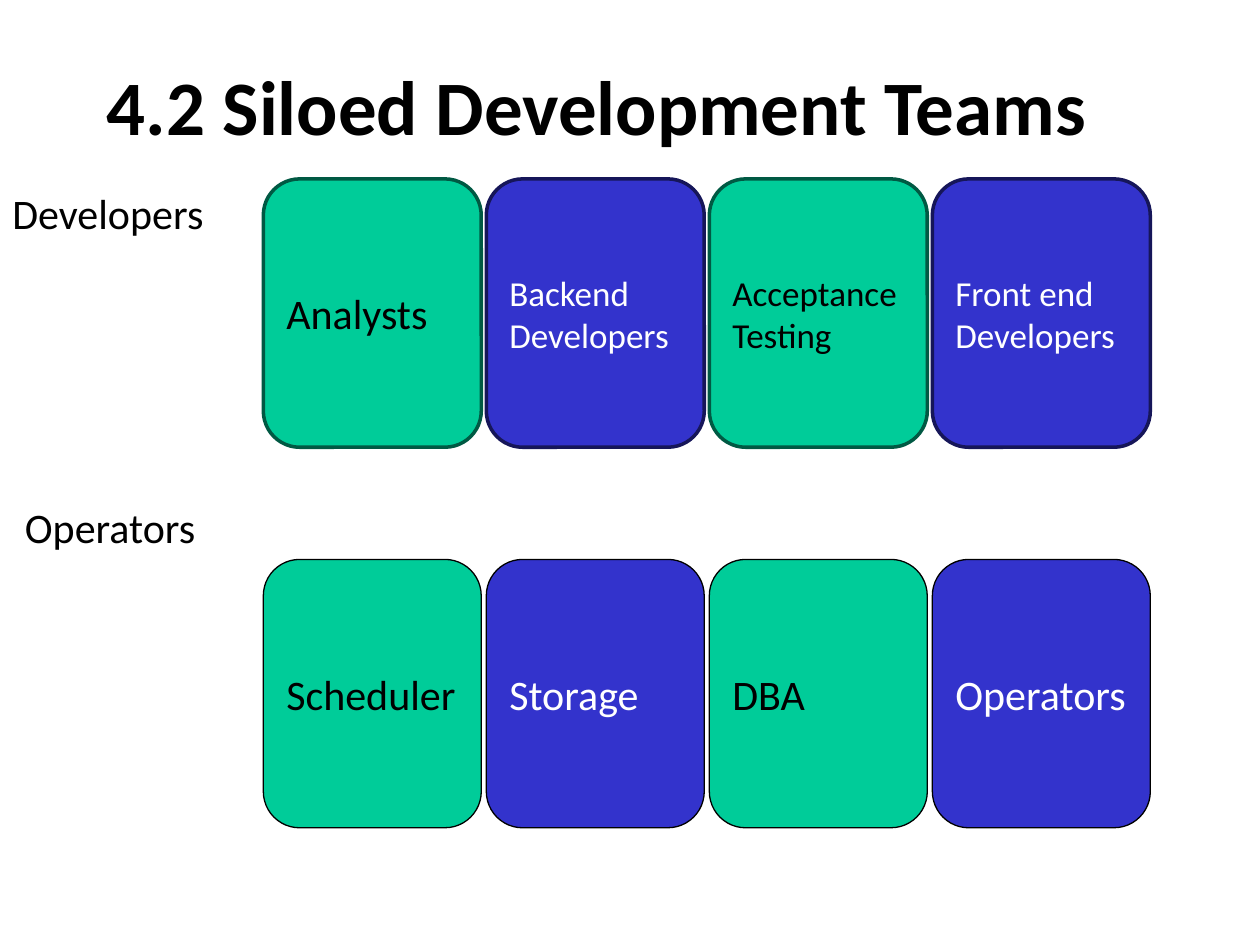
from pptx import Presentation
from pptx.dml.color import RGBColor
from pptx.enum import shapes, text
from pptx.util import Inches, Pt

COLORS = {
    "black": "000000",
    "white": "FFFFFF",
    "green": "00CC99",
    "green_edge": "005943",
    "blue": "3333CC",
    "blue_edge": "161659",
}


class TeamSlide:
    """Holds the slide and its style, and adds labels and team boxes."""

    font = "Calibri"
    box_width, box_height = 1.73, 2.13
    first_left, pitch = 2.09, 1.77

    def __init__(self, prs):
        self.s = prs.slides.add_slide(prs.slide_layouts[6])

    def color(self, name):
        return RGBColor.from_string(COLORS[name])

    def add_lines(self, tf, lines, size, color, bold=False, align=text.PP_ALIGN.LEFT):
        for i, line in enumerate(lines):
            p = tf.add_paragraph() if i else tf.paragraphs[0]
            p.alignment = align
            r = p.add_run()
            r.text = line
            r.font.name = self.font
            r.font.size = Pt(size)
            r.font.bold = bold
            r.font.color.rgb = self.color(color)

    def title(self, words, left, top, width, height):
        tf = self.s.shapes.add_textbox(
            Inches(left), Inches(top), Inches(width), Inches(height)).text_frame
        tf.word_wrap = True
        tf.vertical_anchor = text.MSO_ANCHOR.MIDDLE
        self.add_lines(tf, [words], 44, "black", bold=True)

    def label(self, words, left, top, width):
        tf = self.s.shapes.add_textbox(
            Inches(left), Inches(top), Inches(width), Inches(0.5)).text_frame
        tf.word_wrap = False
        tf.auto_size = text.MSO_AUTO_SIZE.SHAPE_TO_FIT_TEXT
        self.add_lines(tf, [words], 24, "black")

    def team(self, lines, left, top, fill, edge, line_width):
        sp = self.s.shapes.add_shape(
            shapes.MSO_SHAPE.FLOWCHART_ALTERNATE_PROCESS,
            Inches(left), Inches(top), Inches(self.box_width), Inches(self.box_height))
        sp.shadow.inherit = False
        sp.fill.solid()
        sp.fill.fore_color.rgb = self.color(fill)
        sp.line.color.rgb = self.color(edge)
        sp.line.width = Pt(line_width)
        tf = sp.text_frame
        tf.word_wrap = False
        tf.vertical_anchor = text.MSO_ANCHOR.MIDDLE
        self.add_lines(tf, lines, 20 if len(lines) > 1 else 24,
                       "black" if fill == "green" else "white",
                       align=text.PP_ALIGN.JUSTIFY)

    def team_row(self, teams, top, line_width, tinted_edge):
        for i, lines in enumerate(teams):
            fill = ("green", "blue")[i % 2]
            edge = f"{fill}_edge" if tinted_edge else "black"
            self.team(lines, self.first_left + i * self.pitch, top, fill, edge, line_width)


def main():
    prs = Presentation()
    prs.slide_width, prs.slide_height = Inches(10), Inches(7.5)
    slide = TeamSlide(prs)
    slide.title("4.2 Siloed Development Teams", 0.75, 0.25, 8.5, 1.17)
    slide.label("Developers", 0, 1.44, 1.73)
    slide.team_row([["Analysts"], ["Backend", "Developers"],
                    ["Acceptance ", "Testing"], ["Front end", "Developers"]],
                   1.42, 2, tinted_edge=True)
    slide.label("Operators", 0.1, 3.93, 1.57)
    slide.team_row([["Scheduler"], ["Storage"], ["DBA"], ["Operators"]],
                   4.44, 0.75, tinted_edge=False)
    prs.save("out.pptx")


if __name__ == "__main__":
    main()
